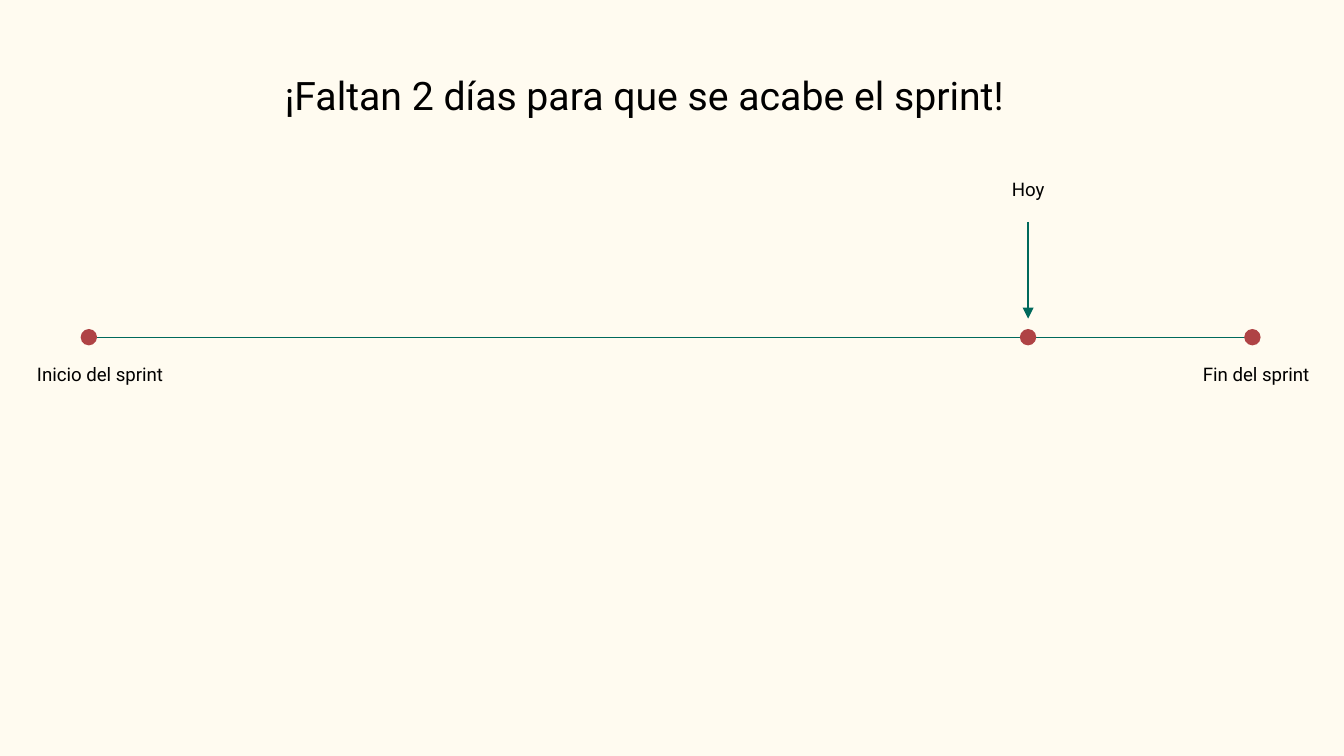
from collections import namedtuple

from lxml.etree import SubElement
from pptx import Presentation
from pptx.dml.color import RGBColor
from pptx.enum.shapes import MSO_CONNECTOR as Connector, MSO_SHAPE as Shape
from pptx.enum.text import MSO_ANCHOR as Anchor, MSO_AUTO_SIZE as AutoSize, PP_ALIGN as Align
from pptx.oxml.ns import qn
from pptx.util import Cm, Pt

Box = namedtuple("Box", "left top width height")

CREAM, RED, GREEN, BLACK = "FFFBF0", "AF4345", "00695C", "000000"
DOT = 0.31
LABEL_WIDTH, LABEL_HEIGHT = 3.38, 0.94


def paint(color_format, color):
    color_format.rgb = RGBColor.from_string(color)


def fill(target, color):
    target.solid()
    paint(target.fore_color, color)


def write(shape, text, size):
    frame = shape.text_frame
    frame.word_wrap = True
    frame.auto_size = AutoSize.SHAPE_TO_FIT_TEXT
    frame.vertical_anchor = Anchor.TOP
    frame.margin_left = frame.margin_right = Cm(0.25)
    frame.margin_top = frame.margin_bottom = Cm(0.25)
    para = frame.paragraphs[0]
    para.alignment = Align.CENTER
    span = para.add_run()
    span.text = text
    span.font.name = "Roboto"
    span.font.size = Pt(size)
    paint(span.font.color, BLACK)


def add_line(page, x1, y1, x2, y2, arrow=False):
    line = page.shapes.add_connector(
        Connector.STRAIGHT, Cm(x1), Cm(y1), Cm(x2), Cm(y2))
    line.line.width = Pt(0.75)
    fill(line.line.fill, GREEN)
    properties = line.element.spPr
    if arrow:
        SubElement(properties.find(qn("a:ln")), qn("a:tailEnd"), type="triangle")
    SubElement(properties, qn("a:effectLst"))


def add_dot(page, x, y):
    dot = page.shapes.add_shape(
        Shape.OVAL, Cm(x - DOT / 2), Cm(y - DOT / 2), Cm(DOT), Cm(DOT))
    dot.shadow.inherit = False
    fill(dot.fill, RED)
    dot.line.fill.background()


def add_label(page, center, top, text):
    label = page.shapes.add_textbox(
        Cm(center - LABEL_WIDTH / 2), Cm(top), Cm(LABEL_WIDTH), Cm(LABEL_HEIGHT))
    write(label, text, 10)


def add_title(page, box):
    title = page.shapes.title
    title.left, title.top, title.width, title.height = map(Cm, box)
    write(title, "¡Faltan 2 días para que se acabe el sprint!", 21)


def add_timeline(page, box):
    """Place the axis, its three milestones and the arrow marking today."""
    start, end = box.left, box.left + box.width
    today = start + 17.75
    axis = box.top + 3.22
    below = box.top + box.height - LABEL_HEIGHT

    add_line(page, start + DOT / 2, axis, end, axis)
    for x in (start, end, today):
        add_dot(page, x, axis)
    add_label(page, start + 0.21, below, "Inicio del sprint")
    add_label(page, end + 0.07, below, "Fin del sprint")
    add_line(page, today, box.top + 1.04, today, axis - 0.35, arrow=True)
    add_label(page, today, box.top, "Hoy")


def main():
    deck = Presentation()
    deck.slide_width, deck.slide_height = Cm(25.4), Cm(14.28)
    page = deck.slides.add_slide(deck.slide_layouts.get_by_name("Title Only"))
    fill(page.background.fill, CREAM)
    add_title(page, Box(5.08, 1.09, 14.2, 1.42))
    add_timeline(page, Box(1.68, 3.15, 21.99, 4.44))
    deck.save("out.pptx")


if __name__ == "__main__":
    main()
